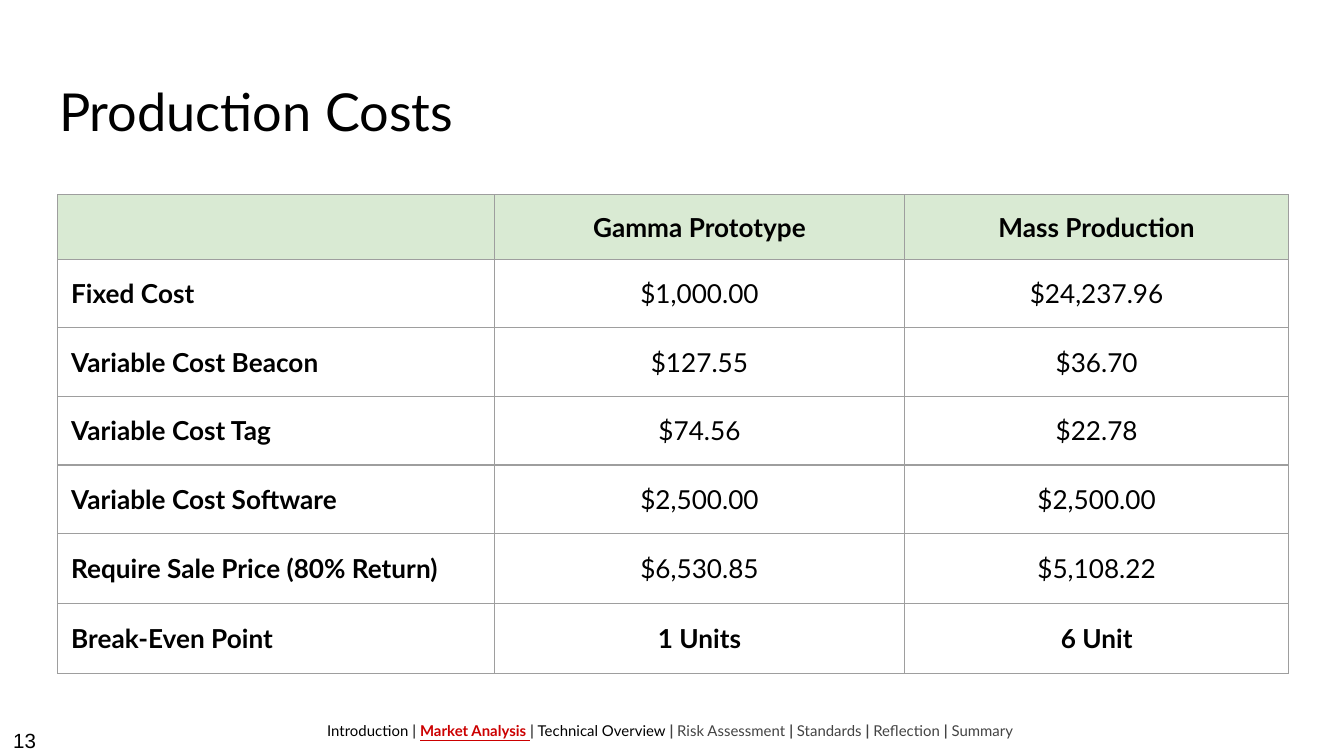
from typing import NamedTuple

from lxml import etree
from pptx import Presentation
from pptx.dml.color import RGBColor
from pptx.enum.text import MSO_ANCHOR, MSO_AUTO_SIZE, PP_ALIGN
from pptx.oxml.ns import qn
from pptx.util import Inches, Pt

LEFT, CENTER = PP_ALIGN.LEFT, PP_ALIGN.CENTER
TOP, MIDDLE = MSO_ANCHOR.TOP, MSO_ANCHOR.MIDDLE
FIXED = MSO_AUTO_SIZE.NONE
BLACK, GRAY, RED = "000000", "434343", "CC0000"
GREEN, RULE = "D9EAD3", "9E9E9E"
PAD = Inches(0.1)


class Box(NamedTuple):
    left: float
    top: float
    width: float
    height: float

    def lengths(self) -> list:
        return [Inches(side) for side in self]


class Step(NamedTuple):
    """One section name in the footer trail."""
    name: str
    color: str = GRAY
    active: bool = False


COLS = [3.25, 3.05, 2.86]
ROWS = [0.48] + [0.51] * 4 + [0.52] * 2
COSTS = [
    ("", "Gamma Prototype", "Mass Production"),
    ("Fixed Cost", "$1,000.00", "$24,237.96"),
    ("Variable Cost Beacon", "$127.55", "$36.70"),
    ("Variable Cost Tag", "$74.56", "$22.78"),
    ("Variable Cost Software", "$2,500.00", "$2,500.00"),
    ("Require Sale Price (80% Return)", "$6,530.85", "$5,108.22"),
    ("Break-Even Point", "1 Units", "6 Unit"),
]
TRAIL = [
    Step("Introduction", BLACK),
    Step("Market Analysis", RED, True),
    Step("Technical Overview", BLACK),
    Step("Risk Assessment"),
    Step("Standards"),
    Step("Reflection"),
    Step("Summary"),
]


def rgb(code: str) -> RGBColor:
    return RGBColor.from_string(code)


def style(font, size: float, color: str = BLACK, bold: bool = False,
          face: str = "Lato") -> None:
    font.name, font.size, font.bold = face, Pt(size), bold
    font.color.rgb = rgb(color)


def set_frame(shape, anchor):
    frame = shape.text_frame
    frame.word_wrap = True
    frame.auto_size = FIXED
    frame.vertical_anchor = anchor
    frame.margin_left = frame.margin_right = PAD
    frame.margin_top = frame.margin_bottom = PAD
    return frame


def add_title(slide, box: Box, text: str) -> None:
    title = slide.shapes.title
    title.left, title.top, title.width, title.height = box.lengths()
    frame = set_frame(title, TOP)
    frame.text = text
    para = frame.paragraphs[0]
    para.alignment = LEFT
    style(para.runs[0].font, 28)


def add_number(slide, box: Box, text: str) -> None:
    frame = set_frame(slide.shapes.add_textbox(*box.lengths()), MIDDLE)
    frame.text = text
    style(frame.paragraphs[0].runs[0].font, 11, face="Arial")


def add_trail(slide, box: Box, steps: list[Step]) -> None:
    frame = set_frame(slide.shapes.add_textbox(*box.lengths()), TOP)
    para = frame.paragraphs[0]
    para.alignment, para.line_spacing = CENTER, 1.15
    for i, step in enumerate(steps):
        if i:
            bar = para.add_run()
            bar.text = "| "
            style(bar.font, 8, GRAY, True)
        run = para.add_run()
        run.text = step.name + " "
        style(run.font, 8, step.color, step.active)
        run.font.underline = step.active


def set_border(cell) -> None:
    props = cell._tc.get_or_add_tcPr()
    for i, tag in enumerate(("a:lnL", "a:lnR", "a:lnT", "a:lnB")):
        line = etree.Element(qn(tag), w=str(Pt(0.75)))
        fill = etree.SubElement(line, qn("a:solidFill"))
        etree.SubElement(fill, qn("a:srgbClr"), val=RULE)
        props.insert(i, line)


def set_cell(cell, text: str, bold: bool, align, fill: str | None) -> None:
    cell.text = text
    cell.vertical_anchor = MIDDLE
    cell.margin_left = cell.margin_right = PAD
    cell.margin_top = cell.margin_bottom = PAD
    para = cell.text_frame.paragraphs[0]
    para.alignment = align
    style(para.font, 14)
    for run in para.runs:
        style(run.font, 14, bold=bold)
    if fill:
        cell.fill.solid()
        cell.fill.fore_color.rgb = rgb(fill)
    else:
        cell.fill.background()
    set_border(cell)


def add_costs(slide, left: float, top: float) -> None:
    box = Box(left, top, sum(COLS), sum(ROWS))
    table = slide.shapes.add_table(len(ROWS), len(COLS), *box.lengths()).table
    table.first_row = table.horz_banding = False
    for col, width in zip(table.columns, COLS):
        col.width = Inches(width)
    for row, height in zip(table.rows, ROWS):
        row.height = Inches(height)
    last = len(COSTS) - 1
    for r, texts in enumerate(COSTS):
        for c, text in enumerate(texts):
            bold = c == 0 or r in (0, last)
            set_cell(table.cell(r, c), text, bold,
                     CENTER if c else LEFT, None if r else GREEN)


def main() -> None:
    deck = Presentation()
    deck.slide_width = Inches(10)
    deck.slide_height = deck.slide_width * 9 // 16
    slide = deck.slides.add_slide(deck.slide_layouts[5])
    add_title(slide, Box(0.34, 0.49, 9.32, 0.63), "Production Costs")
    add_number(slide, Box(0, 5.38, 0.6, 0.25), "13")
    add_trail(slide, Box(1.77, 5.25, 6.46, 0.3), TRAIL)
    add_costs(slide, 0.43, 1.45)
    deck.save("out.pptx")


if __name__ == "__main__":
    main()
